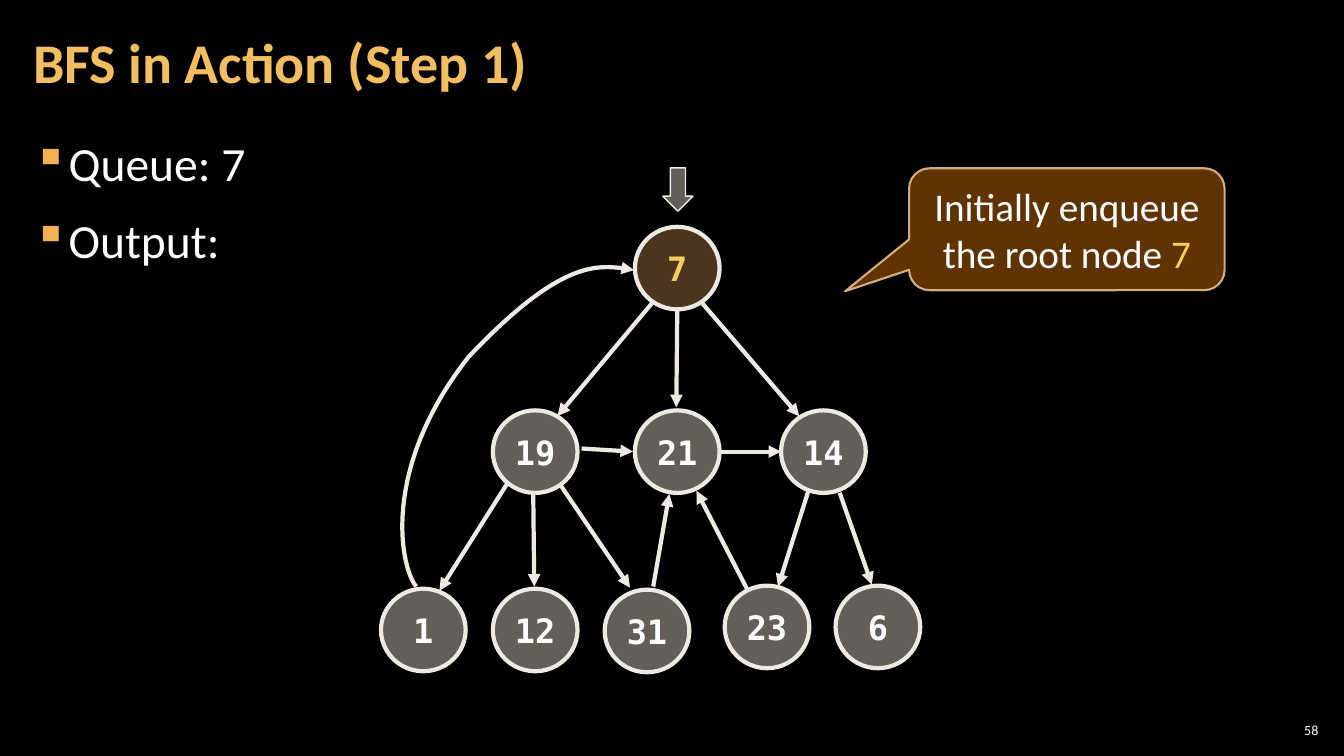
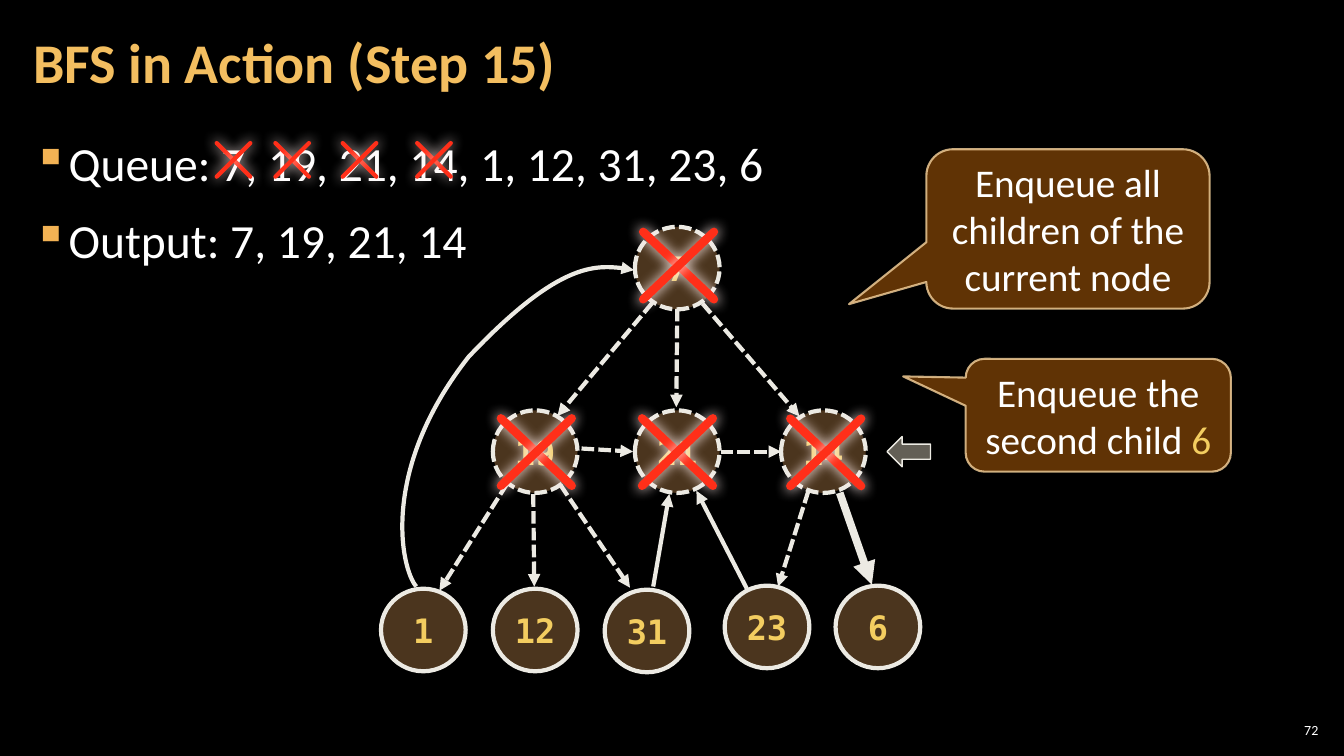
from lxml.etree import SubElement
from pptx import Presentation
from pptx.dml.color import RGBColor
from pptx.enum.dml import MSO_LINE
from pptx.enum.shapes import MSO_CONNECTOR, MSO_SHAPE
from pptx.enum.text import MSO_ANCHOR, PP_ALIGN
from pptx.oxml.ns import qn
from pptx.util import Pt

HUES = {
    "back": "000000", "text": "FFFFFF", "title": "F3BE60", "bullet": "F2B254",
    "accent": "F3CD60", "note": "663606", "rim": "F8D49E", "plain": "C7BFAC",
    "active": "6C4C2C", "line": "ECEAE3", "cross": "FF2F19", "glow": "FFEDEB",
}
NODES = {
    7: (483.8, 191.5), 14: (588.2, 322.6), 19: (382.3, 322.6),
    23: (547.9, 447.8), 6: (627.1, 447.8), 21: (483.8, 322.6),
    31: (462.2, 450.7), 1: (302.4, 450), 12: (382.3, 450),
}
EDGES = {
    (7, 19): (465.8, 216.5, 398.2, 297.2),
    (7, 21): (483.8, 220.6, 483.1, 290.9),
    (7, 14): (501.8, 216.8, 571, 297.4),
    (19, 1): (362.2, 345.6, 313.9, 421.9),
    (19, 12): (380.9, 353, 381.6, 419),
    (19, 31): (400.3, 346.4, 450, 419.8),
    (19, 21): (415.4, 320.4, 452.2, 322.6),
    (21, 14): (514.8, 322.6, 558, 322.6),
    (14, 23): (577.4, 350.8, 555.8, 419),
    (14, 6): (599.8, 352, 622.8, 417.6),
    (31, 21): (466.6, 419, 478.1, 352.8),
    (23, 21): (533.5, 420.5, 497.5, 350.6),
}
BOX = (287.3, 190.8, 452.9, 419)
CURVE = [
    ("moveTo", [(297.4, 419)]),
    ("cubicBezTo", [(286.6, 406.8), (270.7, 336.2), (334.8, 254.9)]),
    ("cubicBezTo", [(398.9, 187.2), (434.9, 188.6), (452.9, 193)]),
]


def color(name):
    return RGBColor.from_string(HUES[name])


class Deck:
    """Holds the style and the current slide, and draws each kind of element."""

    def __init__(self):
        self.prs = Presentation()
        self.prs.slide_width, self.prs.slide_height = Pt(960), Pt(540)
        fill = self.prs.slide_master.background.fill
        fill.solid()
        fill.fore_color.rgb = color("back")

    def start(self, title, items, number):
        self.slide = self.prs.slides.add_slide(self.prs.slide_layouts[6])
        self.shapes = self.slide.shapes
        frame = self.label(910.8, 514.1, 33.8, 15.1, 2.9, MSO_ANCHOR.MIDDLE)
        frame.paragraphs[0].alignment = PP_ALIGN.RIGHT
        self.run(frame.paragraphs[0], number, 10)
        self.bullets(items)
        frame = self.label(15.1, 2.9, 753.8, 87.1, 8.6, MSO_ANCHOR.MIDDLE)
        frame.paragraphs[0].line_spacing = 0.9
        self.run(frame.paragraphs[0], title, 40, "title", bold=True)

    def label(self, x, y, w, h, side, anchor):
        frame = self.shapes.add_textbox(Pt(x), Pt(y), Pt(w), Pt(h)).text_frame
        frame.word_wrap = True
        frame.vertical_anchor = anchor
        frame.margin_left = frame.margin_right = Pt(side)
        frame.margin_top = frame.margin_bottom = Pt(2.9)
        return frame

    def run(self, para, text, size, hue="text", bold=False, face="Calibri"):
        run = para.add_run()
        run.text = text
        font = run.font
        font.name, font.size, font.bold = face, Pt(size), bold
        font.color.rgb = color(hue)

    def bullets(self, items):
        frame = self.label(15.1, 90.7, 929.5, 438.5, 8.6, MSO_ANCHOR.TOP)
        for index, text in enumerate(items):
            para = frame.add_paragraph() if index else frame.paragraphs[0]
            props = para._p.get_or_add_pPr()
            props.set("marL", str(Pt(24)))
            props.set("indent", str(Pt(-24)))
            para.line_spacing = 1.05
            para.space_before = Pt(6 if index else 0)
            para.space_after = Pt(6)
            tint = SubElement(props, qn("a:buClr"))
            SubElement(tint, qn("a:srgbClr"), val=HUES["bullet"])
            SubElement(props, qn("a:buChar"), char="▪")
            self.run(para, text, 34)

    def fade(self, node, rate):
        for tint in node.iter(qn("a:srgbClr")):
            SubElement(tint, qn("a:alpha"), val=str(rate * 1000))

    def shape(self, kind, x, y, w, h, hue, rate, rim="line", width=3):
        shape = self.shapes.add_shape(kind, Pt(x), Pt(y), Pt(w), Pt(h))
        shape.shadow.inherit = False
        shape.fill.solid()
        shape.fill.fore_color.rgb = color(hue)
        self.fade(shape._element.spPr, rate)
        self.stroke(shape, rim, width)
        frame = shape.text_frame
        frame.vertical_anchor = MSO_ANCHOR.MIDDLE
        frame.paragraphs[0].alignment = PP_ALIGN.CENTER
        return shape

    def stroke(self, shape, hue, width, dash=False, head=False):
        shape.line.color.rgb = color(hue)
        shape.line.width = Pt(width)
        if dash:
            shape.line.dash_style = MSO_LINE.SQUARE_DOT
        line = shape._element.spPr.find(qn("a:ln"))
        if head:
            SubElement(line, qn("a:tailEnd"), type="triangle")
        return line

    def line(self, ends, hue="line", width=3, dash=False, head=False):
        wire = self.shapes.add_connector(MSO_CONNECTOR.STRAIGHT, *map(Pt, ends))
        line = self.stroke(wire, hue, width, dash, head)
        return line, SubElement(wire._element.spPr, qn("a:effectLst"))

    def node(self, key, live, dash):
        x, y = NODES[key]
        look = ("active", 70) if live else ("plain", 50)
        shape = self.shape(MSO_SHAPE.OVAL, x - 30.25, y - 29.5, 60.5, 59, *look)
        self.stroke(shape, "line", 3, dash)
        frame = shape.text_frame
        frame.word_wrap = False
        hue = "accent" if live else "text"
        self.run(frame.paragraphs[0], str(key), 24, hue, True, "DejaVu Sans Mono")

    def curve(self):
        left, top, right, low = (round(v * 10) for v in BOX)
        pen = self.shapes.build_freeform(left, top, scale=1270)
        pen.add_line_segments([(right, low)], close=False)
        shape = pen.convert_to_shape()
        shape.shadow.inherit = False
        shape.fill.background()
        self.stroke(shape, "line", 3, head=True)
        track = next(shape._element.iter(qn("a:path")))
        for part in list(track):
            track.remove(part)
        for kind, points in CURVE:
            part = SubElement(track, qn("a:" + kind))
            for x, y in points:
                SubElement(part, qn("a:pt"), x=str(round(x * 10) - left),
                           y=str(round(y * 10) - top))

    def graph(self, live, done=(), bold=None):
        for key in NODES:
            self.node(key, key in live, key in done)
        for pair, ends in EDGES.items():
            thick = pair == bold
            dash = pair[0] in done and not thick
            self.line(ends, width=5.5 if thick else 3, dash=dash, head=True)
        self.curve()

    def cross(self, x, y, w, h, width):
        for ends in ((x, y, x + w, y + h), (x + w, y, x, y + h)):
            line, fx = self.line(ends, "cross", width)
            line.set("cap", "rnd")
            glow = SubElement(fx, qn("a:outerShdw"), blurRad=str(Pt(10)),
                              dist="0", dir="5400000", algn="ctr", rotWithShape="0")
            SubElement(glow, qn("a:srgbClr"), val=HUES["glow"])

    def arrow(self, x, y, turn):
        shape = self.shape(MSO_SHAPE.RIGHT_ARROW, x, y, 31, 21.6, "plain", 50, width=1)
        shape.rotation = turn

    def note(self, x, y, w, h, tip, text, key=""):
        kind = MSO_SHAPE.ROUNDED_RECTANGULAR_CALLOUT
        shape = self.shape(kind, x, y, w, h, "note", 95, "rim", 1.5)
        self.fade(shape._element.spPr.find(qn("a:ln")), 80)
        for index, value in enumerate((*tip, 0.167)):
            shape.adjustments[index] = value
        frame = shape.text_frame
        frame.word_wrap = True
        self.run(frame.paragraphs[0], text, 28)
        if key:
            self.run(frame.paragraphs[0], key, 28, "accent")


def main():
    deck = Deck()
    deck.start("BFS in Action (Step 1)", ["Queue: 7", "Output:"], "58")
    deck.note(649.4, 120.2, 225.4, 87.1, (-0.703, 0.509),
              "Initially enqueue the root node ", "7")
    deck.graph(live={7})
    deck.arrow(468.7, 124.6, 90)

    deck.start("BFS in Action (Step 15)",
               ["Queue: 7, 19, 21, 14, 1, 12, 31, 23, 6", "Output: 7, 19, 21, 14"], "72")
    for x in (154.8, 196.7, 244.8, 298):
        deck.cross(x, 102.2, 24, 24, 3)
    deck.note(661.7, 106.6, 202.3, 113.8, (-0.773, 0.472),
              "Enqueue all children of the current node")
    deck.graph(live=NODES, done={7, 19, 21, 14}, bold=(14, 6))
    for x, y in ((459.4, 165.6), (357.8, 298.8), (458.6, 298.8), (564.5, 299)):
        deck.cross(x, y, 50.6, 48.2, 6)
    deck.arrow(633.6, 311.8, 180)
    deck.note(689.8, 256.3, 189.4, 80.6, (-0.736, -0.344),
              "Enqueue the second child ", "6")
    deck.prs.save("out.pptx")


if __name__ == "__main__":
    main()
